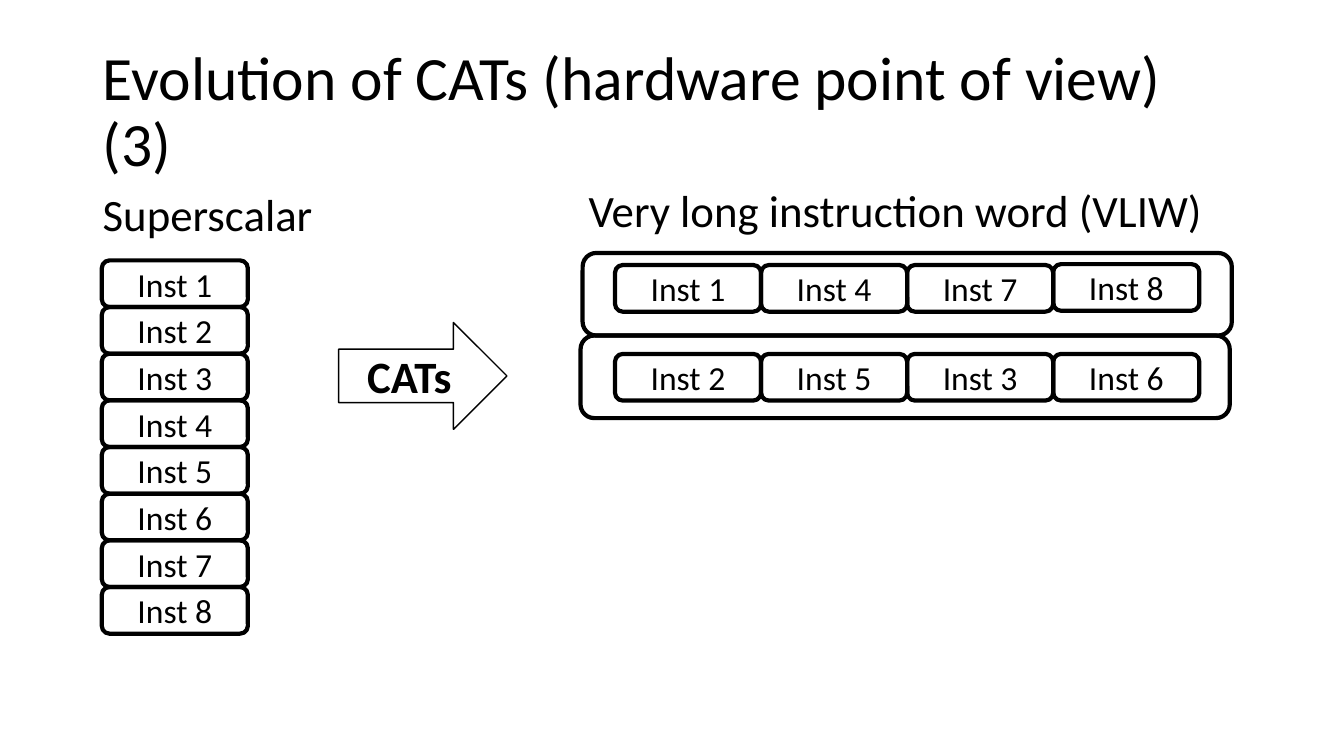
from dataclasses import dataclass

from pptx import Presentation
from pptx.dml.color import RGBColor
from pptx.enum.shapes import MSO_SHAPE
from pptx.enum.text import MSO_ANCHOR, PP_ALIGN
from pptx.util import Inches, Pt

ROUNDED, ARROW = MSO_SHAPE.ROUNDED_RECTANGLE, MSO_SHAPE.RIGHT_ARROW
TOP, MIDDLE = MSO_ANCHOR.TOP, MSO_ANCHOR.MIDDLE
LEFT, CENTER = PP_ALIGN.LEFT, PP_ALIGN.CENTER

# The slide grid; one instruction box spans 10 columns by 10 rows
COLUMNS, ROWS = 92, 162
INST_SIZE = 10


@dataclass(frozen=True)
class Theme:
    font: str = "Calibri"
    ink: RGBColor = RGBColor(0, 0, 0)
    title: int = 44
    label: int = 32
    inst: int = 24
    thick: int = 3
    thin: int = 1


def write(frame, text, *, font, size, color, bold=False, align=LEFT,
          anchor=TOP, spacing=None):
    """Put one formatted paragraph into a text frame."""
    frame.word_wrap = True
    frame.vertical_anchor = anchor
    paragraph = frame.paragraphs[0]
    paragraph.alignment = align
    paragraph.line_spacing = spacing
    run = paragraph.add_run()
    run.text = text
    run.font.name, run.font.size, run.font.bold = font, Pt(size), bold
    run.font.color.rgb = color


class Board:
    """Holds the theme and the slide; lengths are grid columns and rows."""

    def __init__(self, deck, theme):
        self.theme = theme
        self.slide = deck.slides.add_slide(deck.slide_layouts[6])
        self.column = deck.slide_width / COLUMNS
        self.row = deck.slide_height / ROWS

    def area(self, left, top, width, height):
        return (round(left * self.column), round(top * self.row),
                round(width * self.column), round(height * self.row))

    def text(self, words, *area, size, **style):
        box = self.slide.shapes.add_textbox(*self.area(*area))
        write(box.text_frame, words, size=size, font=self.theme.font,
              color=self.theme.ink, **style)

    def outline(self, kind, *area, weight, words=None, **style):
        shape = self.slide.shapes.add_shape(kind, *self.area(*area))
        shape.shadow.inherit = False
        shape.fill.background()
        shape.line.color.rgb = self.theme.ink
        shape.line.width = Pt(weight)
        if words:
            write(shape.text_frame, words, font=self.theme.font,
                  color=self.theme.ink, align=CENTER, anchor=MIDDLE, **style)

    def instruction(self, number, left, top):
        self.outline(ROUNDED, left, top, INST_SIZE, INST_SIZE,
                     weight=self.theme.thick, words=f"Inst {number}",
                     size=self.theme.inst)


deck = Presentation()
deck.slide_width, deck.slide_height = Inches(13.33), Inches(7.5)
theme = Theme()
board = Board(deck, theme)

# Title
board.text("Evolution of CATs (hardware point of view) (3)",
           6.35, 8.64, 79.35, 31.32, size=theme.title, anchor=MIDDLE,
           spacing=0.9)

# Superscalar: one instruction after another
board.text("Superscalar", 6.35, 38.88, 16.84, 13.82, size=theme.label)
for step in range(8):
    board.instruction(step + 1, 6.97, 55.8 + step * INST_SIZE)

# VLIW: long words that each hold four instructions
long_words = [
    # numbers, top of instructions, left and top of the frame
    ((1, 4, 7, 8), 56.8, 39.88, 54.2),
    ((2, 5, 3, 6), 75.85, 39.74, 71.9),
]
for numbers, inst_top, frame_left, frame_top in long_words:
    for slot, number in enumerate(numbers):
        lift = 0.2 if number == 8 else 0
        board.instruction(number, 42.1 + slot * INST_SIZE, inst_top - lift)
    board.outline(ROUNDED, frame_left, frame_top, 44.44, 17.7,
                  weight=theme.thick)
board.text("Very long instruction word (VLIW)", 39.61, 38, 44.6, 13.82,
           size=theme.label)

# Transformation arrow
board.outline(ARROW, 23.18, 69.1, 11.52, 22.9, weight=theme.thin,
              words="CATs", size=theme.label, bold=True)

deck.save("out.pptx")
